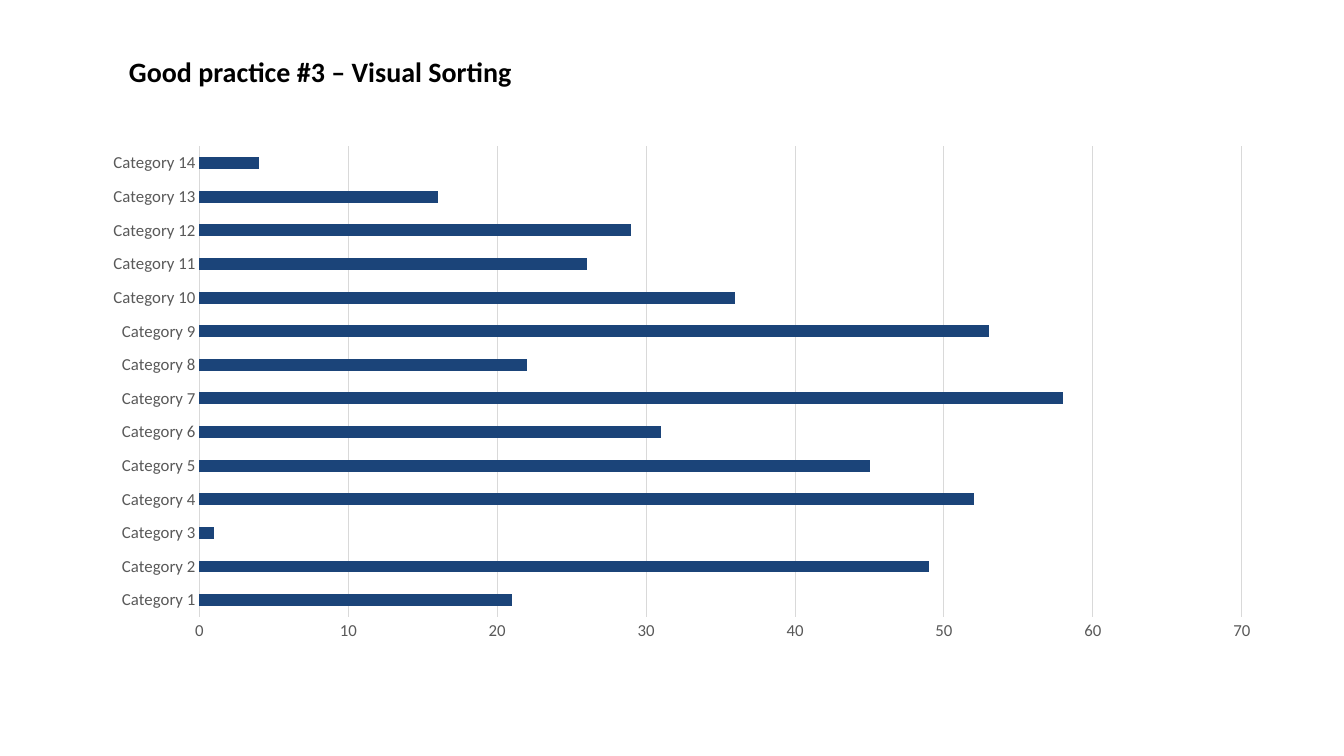
import pptx
import pptx.chart.data
import pptx.dml.color
import pptx.enum.chart
import pptx.enum.text
import pptx.util
from pptx.util import Cm

FONT = "Calibri"
BLACK, GREY, LIGHT_GREY, NAVY = "000000", "595959", "D9D9D9", "1B4479"
CATEGORY_VALUES = [21, 49, 1, 52, 45, 31, 58, 22, 53, 36, 26, 29, 16, 4]


def rgb(hex_string):
    return pptx.dml.color.RGBColor.from_string(hex_string)


def format_font(font, size, color, bold=False):
    font.name = FONT
    font.size = pptx.util.Pt(size)
    font.bold = bold
    font.color.rgb = rgb(color)


def write_text(frame, text, size=20, color=BLACK, bold=False, line_spacing=0.9):
    frame.margin_left = frame.margin_top = frame.margin_right = frame.margin_bottom = 0
    frame.vertical_anchor = pptx.enum.text.MSO_ANCHOR.MIDDLE
    frame.auto_size = pptx.enum.text.MSO_AUTO_SIZE.NONE
    frame.word_wrap = True
    paragraph = frame.paragraphs[0]
    paragraph.alignment = pptx.enum.text.PP_ALIGN.LEFT
    paragraph.line_spacing = line_spacing
    run = paragraph.add_run()
    run.text = text
    format_font(run.font, size, color, bold)


def place_title(slide, text):
    heading = slide.shapes.title
    heading.left, heading.top = Cm(3.25), Cm(1.37)
    heading.width, heading.height = Cm(11.25), Cm(0.97)
    write_text(heading.text_frame, text, bold=True)


def format_line(line, color):
    line.color.rgb = rgb(color)
    line.width = pptx.util.Pt(0.75)


def format_axis(axis):
    axis.major_tick_mark = pptx.enum.chart.XL_TICK_MARK.NONE
    axis.minor_tick_mark = pptx.enum.chart.XL_TICK_MARK.NONE
    format_font(axis.tick_labels.font, 12, GREY)


def add_bar_chart(slide, values):
    bar_data = pptx.chart.data.CategoryChartData(number_format="General")
    bar_data.categories = [f"Category {n}" for n in range(1, len(values) + 1)]
    bar_data.add_series("Series 1", values)
    bar_chart = slide.shapes.add_chart(
        pptx.enum.chart.XL_CHART_TYPE.BAR_CLUSTERED,
        Cm(2.26), Cm(3.43), Cm(29.85), Cm(12.98), bar_data).chart
    bar_chart.has_title = False
    bar_chart.has_legend = False
    format_font(bar_chart.font, 10, BLACK)

    # Bars
    plot = bar_chart.plots[0]
    plot.gap_width = 182
    plot.vary_by_categories = False
    bars = plot.series[0]
    bars.format.fill.solid()
    bars.format.fill.fore_color.rgb = rgb(NAVY)

    # Axes and gridlines
    category_axis, value_axis = bar_chart.category_axis, bar_chart.value_axis
    for axis in (category_axis, value_axis):
        format_axis(axis)
    format_line(category_axis.format.line, LIGHT_GREY)
    value_axis.format.line.fill.background()
    value_axis.minimum_scale, value_axis.maximum_scale = 0, 70
    value_axis.major_unit = 10
    value_axis.has_major_gridlines = True
    format_line(value_axis.major_gridlines.format.line, LIGHT_GREY)


def main():
    deck = pptx.Presentation()
    deck.slide_width, deck.slide_height = Cm(33.87), Cm(19.05)
    slide = deck.slides.add_slide(deck.slide_layouts[5])
    add_bar_chart(slide, CATEGORY_VALUES)
    place_title(slide, "Good practice #3 – Visual Sorting")
    deck.save("out.pptx")


if __name__ == "__main__":
    main()
